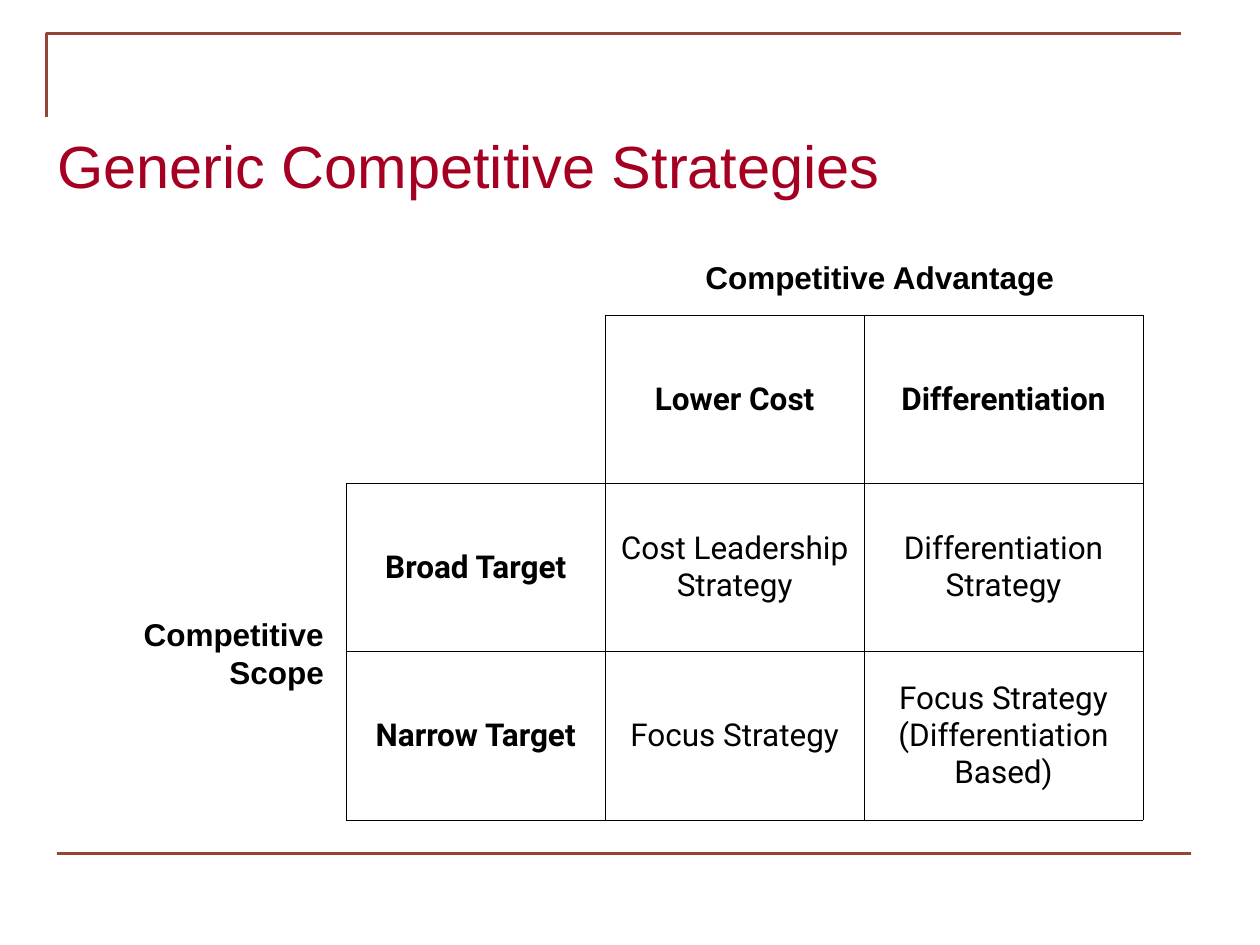
"""Build the Generic Competitive Strategies slide."""
from lxml import etree
from pptx import Presentation
from pptx import util as u
from pptx.dml.color import RGBColor
from pptx.enum import shapes, text
from pptx.oxml.ns import qn

RULE = RGBColor(0x95, 0x44, 0x37)
TITLE = RGBColor(0xA5, 0x00, 0x21)
BLACK = RGBColor(0x00, 0x00, 0x00)


def format_text(tf, font, size, color, bold, align):
    for p in tf.paragraphs:
        p.alignment = align
        for r in p.runs:
            r.font.name = font
            r.font.size = u.Pt(size)
            r.font.bold = bold
            r.font.color.rgb = color


def add_border(cell, side, visible):
    ln = etree.SubElement(cell._tc.get_or_add_tcPr(), qn("a:ln" + side), w=str(u.Pt(0.45)))
    if visible:
        fill = etree.SubElement(ln, qn("a:solidFill"))
        etree.SubElement(fill, qn("a:srgbClr"), val=str(BLACK))
    else:
        etree.SubElement(ln, qn("a:noFill"))


prs = Presentation()
prs.slide_width, prs.slide_height = u.Cm(25.4), u.Cm(19.05)
s = prs.slides.add_slide(prs.slide_layouts[6])

fb = s.shapes.build_freeform(u.Cm(0.94), u.Cm(2.36))
fb.add_line_segments([(u.Cm(0.94), u.Cm(0.68)), (u.Cm(23.8), u.Cm(0.68))], close=False)
corner = fb.convert_to_shape()
corner.shadow.inherit = False
corner.fill.background()

rule = s.shapes.add_connector(
    shapes.MSO_CONNECTOR.STRAIGHT, u.Cm(1.15), u.Cm(17.2), u.Cm(24), u.Cm(17.2))
etree.SubElement(rule._element.spPr, qn("a:effectLst"))
for sp in (corner, rule):
    sp.line.color.rgb = RULE
    sp.line.width = u.Pt(1.5)

rows = [
    ["", "Lower Cost", "Differentiation"],
    ["Broad Target", "Cost Leadership Strategy", "Differentiation Strategy"],
    ["Narrow Target", "Focus Strategy", "Focus Strategy (Differentiation Based)"],
]
widths = [5.22, 5.22, 5.62]
row_height = 3.39
table = s.shapes.add_table(
    3, 3, u.Cm(6.98), u.Cm(6.36), u.Cm(sum(widths)), u.Cm(3 * row_height)).table
table.first_row = table.horz_banding = False
for col, width in zip(table.columns, widths):
    col.width = u.Cm(width)
for i, labels in enumerate(rows):
    table.rows[i].height = u.Cm(row_height)
    for j, label in enumerate(labels):
        cell = table.cell(i, j)
        for side in "LRTB":
            add_border(cell, side, bool(label) or side in "RB")
        cell.fill.background()
        cell.vertical_anchor = text.MSO_ANCHOR.MIDDLE
        cell.text_frame.text = label
        format_text(cell.text_frame, "Roboto", 18, BLACK, i == 0 or j == 0, text.PP_ALIGN.CENTER)

LEFT, RIGHT = text.PP_ALIGN.LEFT, text.PP_ALIGN.RIGHT
boxes = [
    ("Generic Competitive Strategies", 0.91, 1.73, 21.6, 3.18, 34, TITLE, False, LEFT),
    ("Competitive Advantage", 13.97, 5.08, 7.57, 1.02, 18, BLACK, True, LEFT),
    ("Competitive\nScope", 2.64, 12.27, 4.14, 1.78, 18, BLACK, True, RIGHT),
]
for label, x, y, w, h, size, color, bold, align in boxes:
    tf = s.shapes.add_textbox(u.Cm(x), u.Cm(y), u.Cm(w), u.Cm(h)).text_frame
    is_title = color == TITLE
    tf.word_wrap = is_title
    tf.vertical_anchor = text.MSO_ANCHOR.MIDDLE if is_title else text.MSO_ANCHOR.TOP
    tf.auto_size = text.MSO_AUTO_SIZE.NONE if is_title else text.MSO_AUTO_SIZE.SHAPE_TO_FIT_TEXT
    tf.text = label
    format_text(tf, "Arial", size, color, bold, align)

prs.save("out.pptx")
